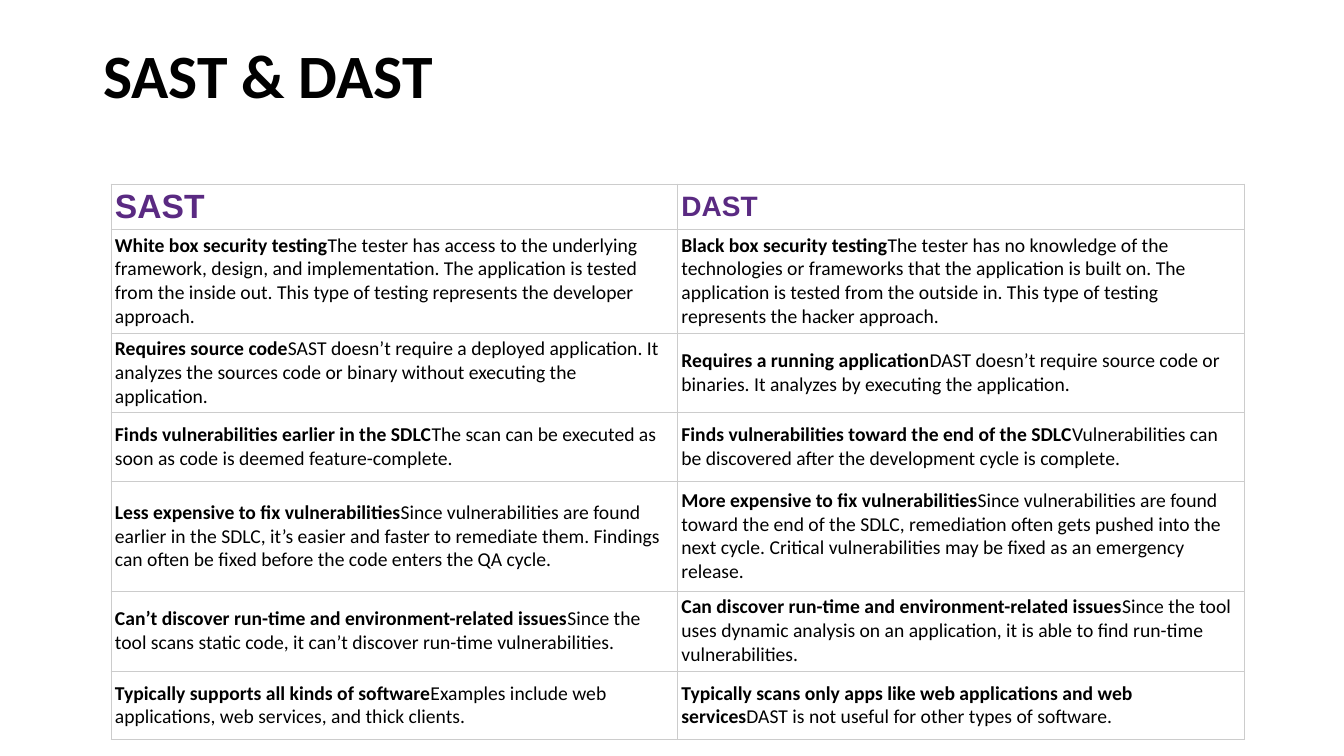
from lxml.etree import SubElement
from pptx import Presentation
from pptx.dml.color import RGBColor
from pptx.enum.text import MSO_ANCHOR, PP_ALIGN
from pptx.oxml.ns import qn
from pptx.util import Pt

EMU_PER_PX = 914400 / 100.8
COLORS = {"text": "000000", "heading": "5A2A82", "border": "CCCCCC", "cell": "FFFFFF"}

HEADINGS = [("SAST", 24), ("DAST", 20)]
ROW_HEIGHTS = [28, 89, 69, 69, 110, 69, 69]
# Each row holds a (bold lead, explanation) pair for SAST and for DAST
COMPARISON = [
    [("White box security testing",
      "The tester has access to the underlying framework, design, and implementation. "
      "The application is tested from the inside out. This type of testing represents "
      "the developer approach."),
     ("Black box security testing",
      "The tester has no knowledge of the technologies or frameworks that the application "
      "is built on. The application is tested from the outside in. This type of testing "
      "represents the hacker approach.")],
    [("Requires source code",
      "SAST doesn’t require a deployed application. It analyzes the sources code or binary "
      "without executing the application."),
     ("Requires a running application",
      "DAST doesn’t require source code or binaries. It analyzes by executing the "
      "application.")],
    [("Finds vulnerabilities earlier in the SDLC",
      "The scan can be executed as soon as code is deemed feature-complete."),
     ("Finds vulnerabilities toward the end of the SDLC",
      "Vulnerabilities can be discovered after the development cycle is complete.")],
    [("Less expensive to fix vulnerabilities",
      "Since vulnerabilities are found earlier in the SDLC, it’s easier and faster to "
      "remediate them. Findings can often be fixed before the code enters the QA cycle."),
     ("More expensive to fix vulnerabilities",
      "Since vulnerabilities are found toward the end of the SDLC, remediation often gets "
      "pushed into the next cycle. Critical vulnerabilities may be fixed as an emergency "
      "release.")],
    [("Can’t discover run-time and environment-related issues",
      "Since the tool scans static code, it can’t discover run-time vulnerabilities."),
     ("Can discover run-time and environment-related issues",
      "Since the tool uses dynamic analysis on an application, it is able to find run-time "
      "vulnerabilities.")],
    [("Typically supports all kinds of software",
      "Examples include web applications, web services, and thick clients."),
     ("Typically scans only apps like web applications and web services",
      "DAST is not useful for other types of software.")],
]


def px(length):
    return round(length * EMU_PER_PX)


class SlideBuilder:
    def __init__(self, slide):
        self.slide = slide

    def style(self, font, name, size, color, bold=None):
        font.name, font.size, font.bold = name, Pt(size), bold
        font.color.rgb = RGBColor.from_string(COLORS[color])

    def title(self, text, left, top, width, height):
        shape = self.slide.shapes.title
        shape.left, shape.top = px(left), px(top)
        shape.width, shape.height = px(width), px(height)
        frame = shape.text_frame
        frame.text = text
        frame.word_wrap = True
        frame.vertical_anchor = MSO_ANCHOR.TOP
        paragraph = frame.paragraphs[0]
        paragraph.alignment = PP_ALIGN.LEFT
        paragraph.line_spacing = 0.9
        self.style(paragraph.font, "Calibri", 44, "text", True)

    def table(self, left, top, width, height, row_heights, column_count):
        frame = self.slide.shapes.add_table(
            len(row_heights), column_count, px(left), px(top), px(width), px(height))
        table = frame.table
        table.first_row = table.horz_banding = False
        for row, row_height in zip(table.rows, row_heights):
            row.height = px(row_height)
        frame.height = px(height)
        for cell in table.iter_cells():
            self.format_cell(cell)
        return table

    def format_cell(self, cell):
        cell.vertical_anchor = MSO_ANCHOR.MIDDLE
        cell.margin_left = cell.margin_right = px(4)
        cell.margin_top = cell.margin_bottom = px(4)
        # Borders precede the fill in the cell properties
        properties = cell._tc.get_or_add_tcPr()
        for side in ("L", "R", "T", "B"):
            line = SubElement(properties, qn(f"a:ln{side}"), w=str(Pt(0.5)))
            fill = SubElement(line, qn("a:solidFill"))
            SubElement(fill, qn("a:srgbClr"), val=COLORS["border"])
        cell.fill.solid()
        cell.fill.fore_color.rgb = RGBColor.from_string(COLORS["cell"])

    def heading_cell(self, cell, text, size):
        cell.text = text
        self.style(cell.text_frame.paragraphs[0].font, "Arial", size, "heading", True)

    def comparison_cell(self, cell, lead, explanation):
        paragraph = cell.text_frame.paragraphs[0]
        for text, bold in ((lead, True), (explanation, False)):
            run = paragraph.add_run()
            run.text = text
            run.font.bold = bold
        self.style(paragraph.font, "Calibri", 14, "text")


def main():
    presentation = Presentation()
    presentation.slide_width, presentation.slide_height = px(1344), px(756)
    builder = SlideBuilder(presentation.slides.add_slide(presentation.slide_layouts[5]))

    # Title
    builder.title("SAST & DAST", 93, 40, 1159, 146)

    # Comparison table
    table = builder.table(111, 184, 1133, 551, ROW_HEIGHTS, len(HEADINGS))
    for column, (text, size) in enumerate(HEADINGS):
        builder.heading_cell(table.cell(0, column), text, size)
    for row, entries in enumerate(COMPARISON, start=1):
        for column, (lead, explanation) in enumerate(entries):
            builder.comparison_cell(table.cell(row, column), lead, explanation)

    presentation.save("out.pptx")


if __name__ == "__main__":
    main()
